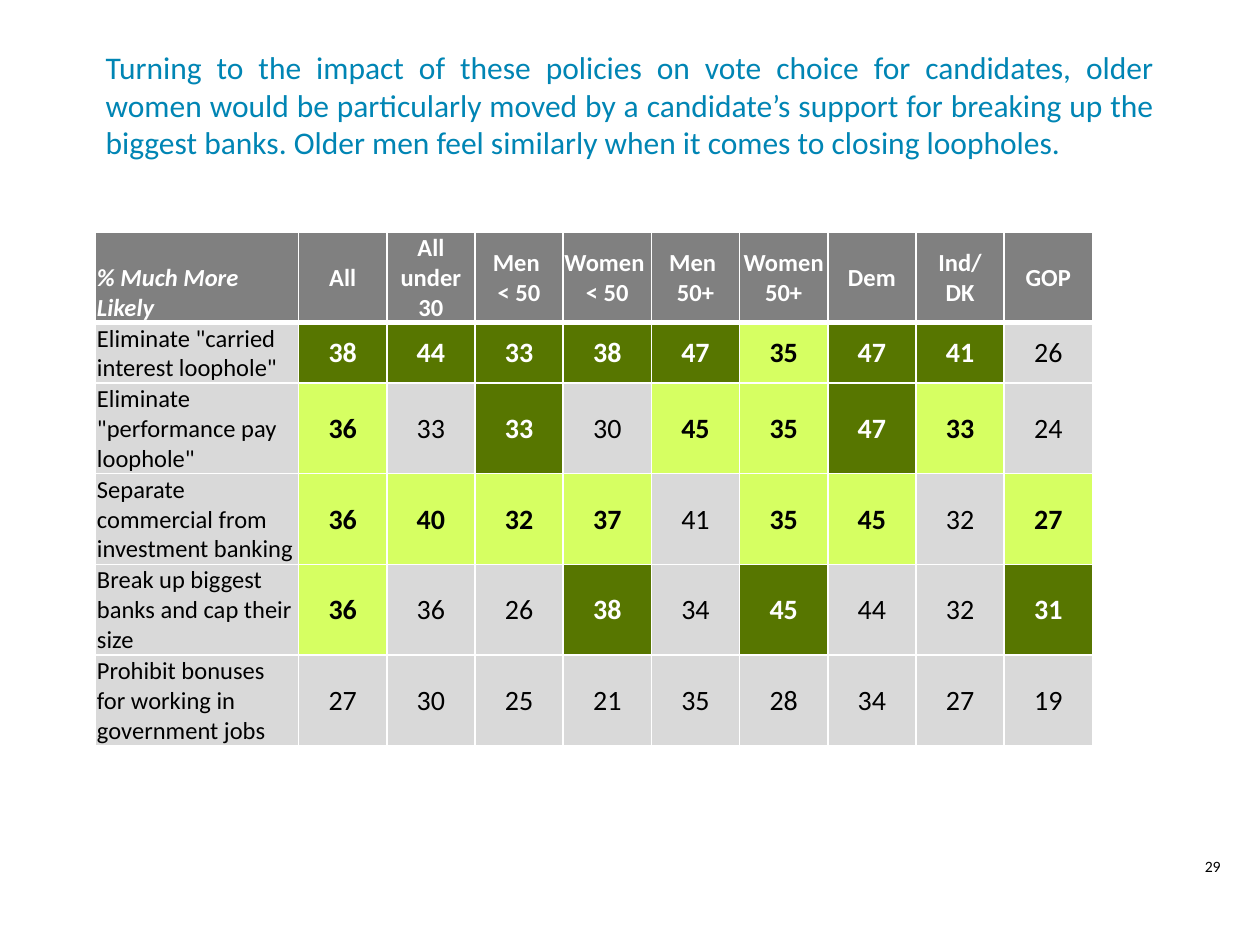
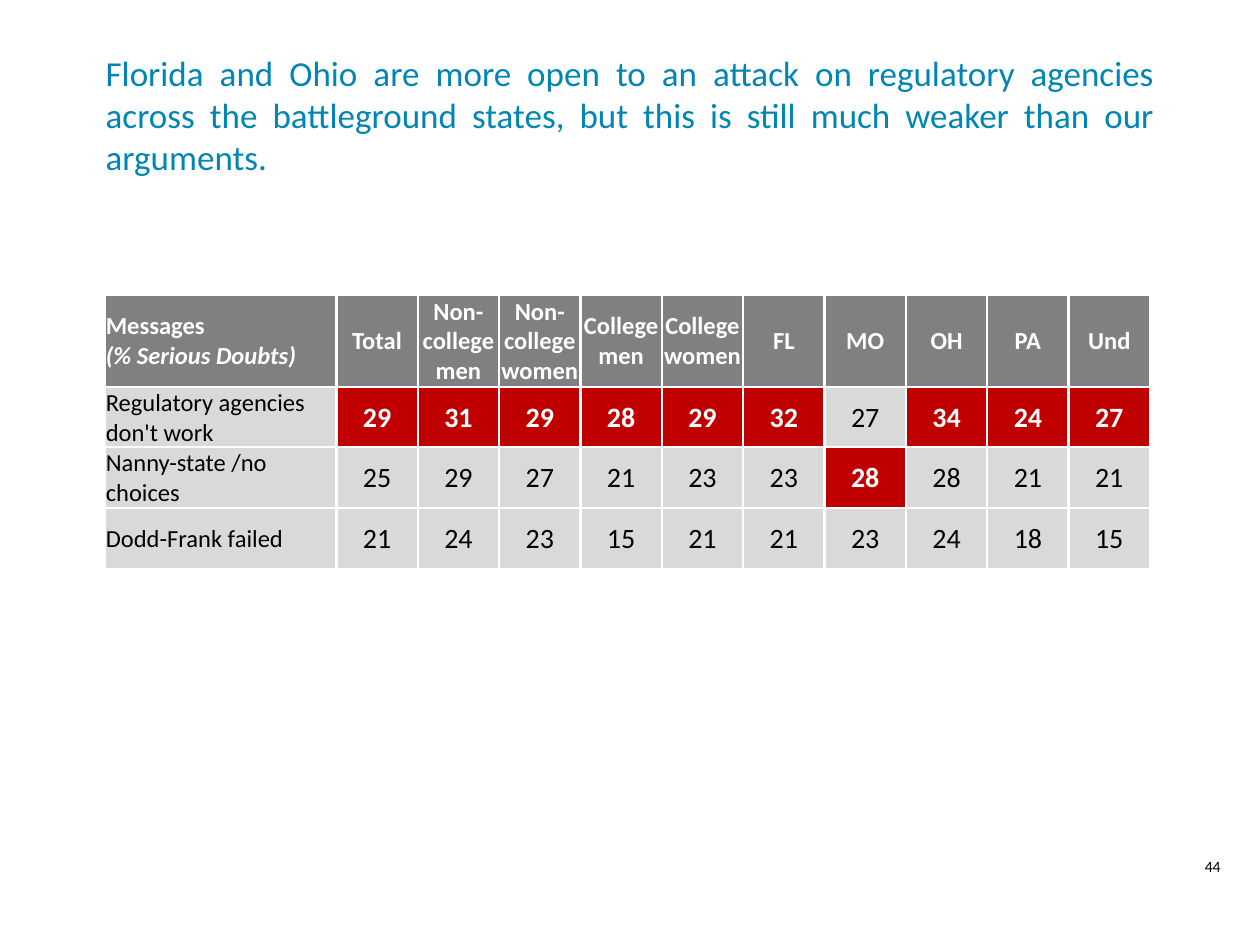
from dataclasses import dataclass

from lxml import etree
from pptx import Presentation
from pptx.dml.color import RGBColor
from pptx.enum import text
from pptx.oxml import ns
from pptx.util import Inches, Pt

GRID_COLUMNS, GRID_ROWS = 100, 75


@dataclass(frozen=True)
class Theme:
    font: str = "Calibri"
    title: str = "0085B4"
    header: str = "808080"
    plain: str = "D9D9D9"
    strong: str = "577600"
    mild: str = "D6FF62"
    alert: str = "C00000"
    dark: str = "000000"
    light: str = "FFFFFF"
    label_size: int = 14
    value_size: int = 16
    number_size: int = 9
    cell_margin: float = 0.01

    def emphasis(self, mark):
        return {
            "S": (self.strong, self.light, True),
            "M": (self.mild, self.dark, True),
            "A": (self.alert, self.light, True),
            "-": (self.plain, self.dark, False),
        }[mark]


class Deck:
    def __init__(self, theme):
        self.theme = theme
        self.presentation = Presentation()
        self.presentation.slide_width = Inches(10)
        self.presentation.slide_height = Inches(7.5)
        self.slide = None

    def across(self, columns):
        return round(self.presentation.slide_width * columns / GRID_COLUMNS)

    def down(self, rows):
        return round(self.presentation.slide_height * rows / GRID_ROWS)

    def add_slide(self):
        self.slide = self.presentation.slides.add_slide(self.presentation.slide_layouts[6])

    def style(self, paragraph, size, color, alignment, bold=False, italic=False):
        paragraph.alignment = alignment
        font = paragraph.font
        font.name, font.size = self.theme.font, Pt(size)
        font.bold, font.italic = bold, italic
        font.color.rgb = RGBColor.from_string(color)

    def add_text(self, words, left, top, width, height, size, color, alignment, anchor):
        box = self.slide.shapes.add_textbox(
            self.across(left), self.down(top), self.across(width), self.down(height))
        frame = box.text_frame
        frame.word_wrap = True
        frame.vertical_anchor = anchor
        frame.text = words
        self.style(frame.paragraphs[0], size, color, alignment)

    def add_title(self, words, top, size):
        self.add_text(words, 7.4, top, 85.2, 11.6, size, self.theme.title,
                      text.PP_ALIGN.JUSTIFY, text.MSO_ANCHOR.MIDDLE)

    def add_page_number(self, number):
        self.add_text(str(number), 92.5, 67.5, 7.5, 3.3, self.theme.number_size,
                      self.theme.dark, text.PP_ALIGN.CENTER, text.MSO_ANCHOR.TOP)

    def add_borders(self, cell, widths):
        properties = cell._tc.get_or_add_tcPr()
        for side, width in zip("LRTB", widths):
            line = etree.SubElement(properties, ns.qn(f"a:ln{side}"), w=str(Pt(width)))
            fill = etree.SubElement(line, ns.qn("a:solidFill"))
            etree.SubElement(fill, ns.qn("a:srgbClr"), val=self.theme.light)

    def fill_cell(self, cell, words, fill, size, color, centered=True, bold=False):
        cell.text = words
        cell.vertical_anchor = text.MSO_ANCHOR.MIDDLE
        cell.margin_left = cell.margin_right = cell.margin_top = Inches(self.theme.cell_margin)
        cell.margin_bottom = 0
        cell.fill.solid()
        cell.fill.fore_color.rgb = RGBColor.from_string(fill)
        alignment = text.PP_ALIGN.CENTER if centered else text.PP_ALIGN.LEFT
        for paragraph in cell.text_frame.paragraphs:
            self.style(paragraph, size, color, alignment, bold)

    def add_table(self, headers, records, left, top, width, label_width, heights,
                  border, header_rule, corner_anchor):
        theme = self.theme
        table = self.slide.shapes.add_table(
            len(records) + 1, len(headers), self.across(left), self.down(top),
            self.across(width), self.down(sum(heights))).table
        value_width = (width - label_width) / (len(headers) - 1)
        for index, column in enumerate(table.columns):
            column.width = self.across(value_width if index else label_width)
        for row, height in zip(table.rows, heights):
            row.height = self.down(height)
        for row_index, row in enumerate(table.rows):
            upper = header_rule if row_index == 1 else border
            lower = header_rule if row_index == 0 else border
            for cell in row.cells:
                self.add_borders(cell, (border, border, upper, lower))
        for index, words in enumerate(headers):
            self.fill_cell(table.cell(0, index), words, theme.header, theme.label_size,
                           theme.light, centered=index > 0, bold=True)
        corner = table.cell(0, 0)
        corner.vertical_anchor = corner_anchor
        corner.text_frame.paragraphs[-1].font.italic = True
        for row_index, (label, values, marks) in enumerate(records, 1):
            self.fill_cell(table.cell(row_index, 0), label, theme.plain,
                           theme.label_size, theme.dark, centered=False)
            for index, (value, mark) in enumerate(zip(values.split(), marks), 1):
                fill, color, bold = theme.emphasis(mark)
                self.fill_cell(table.cell(row_index, index), value, fill,
                               theme.value_size, color, bold=bold)


def add_vote_choice_slide(deck):
    deck.add_slide()
    deck.add_title(
        "Turning to the impact of these policies on vote choice for candidates, older women "
        "would be particularly moved by a candidate’s support for breaking up the biggest "
        "banks. Older men feel similarly when it comes to closing loopholes.", top=2.5, size=18)
    deck.add_page_number(29)
    headers = ["% Much More Likely", "All", "All under 30", "Men \n< 50", "Women \n< 50",
               "Men \n50+", "Women 50+", "Dem", "Ind/\nDK", "GOP"]
    policies = [
        ('Eliminate "carried interest loophole"', "38 44 33 38 47 35 47 41 26", "SSSSSMSS-"),
        ('Eliminate "performance pay loophole"', "36 33 33 30 45 35 47 33 24", "M-S-MMSM-"),
        ("Separate commercial from investment banking", "36 40 32 37 41 35 45 32 27", "MMMM-MM-M"),
        ("Break up biggest banks and cap their size", "36 36 26 38 34 45 44 32 31", "M--S-S--S"),
        ("Prohibit bonuses for working in government jobs", "27 30 25 21 35 28 34 27 19", "---------"),
    ]
    deck.add_table(headers, policies, left=7.6, top=18.4, width=79.1, label_width=16.1,
                   heights=[7.2, 4.8] + [7.2] * 4, border=1, header_rule=3,
                   corner_anchor=text.MSO_ANCHOR.BOTTOM)


def add_battleground_slide(deck):
    deck.add_slide()
    deck.add_title(
        "Florida and Ohio are more open to an attack on regulatory agencies across the "
        "battleground states, but this is still much weaker than our arguments.",
        top=3.3, size=20)
    headers = ["Messages\n(% Serious Doubts)", "Total", "Non-college men",
               "Non-college women", "College men", "College women",
               "FL", "MO", "OH", "PA", "Und"]
    messages = [
        ("Regulatory agencies don't work", "29 31 29 28 29 32 27 34 24 27", "AAAAAA-AAA"),
        ("Nanny-state /no choices", "25 29 27 21 23 23 28 28 21 21", "------A---"),
        ("Dodd-Frank failed", "21 24 23 15 21 21 23 24 18 15", "----------"),
    ]
    deck.add_table(headers, messages, left=8.3, top=23.4, width=83, label_width=18.4,
                   heights=[7.3, 4.8, 4.8, 4.9], border=1.5, header_rule=1.5,
                   corner_anchor=text.MSO_ANCHOR.MIDDLE)
    deck.add_page_number(44)


def main():
    deck = Deck(Theme())
    add_vote_choice_slide(deck)
    add_battleground_slide(deck)
    deck.presentation.save("out.pptx")


if __name__ == "__main__":
    main()
